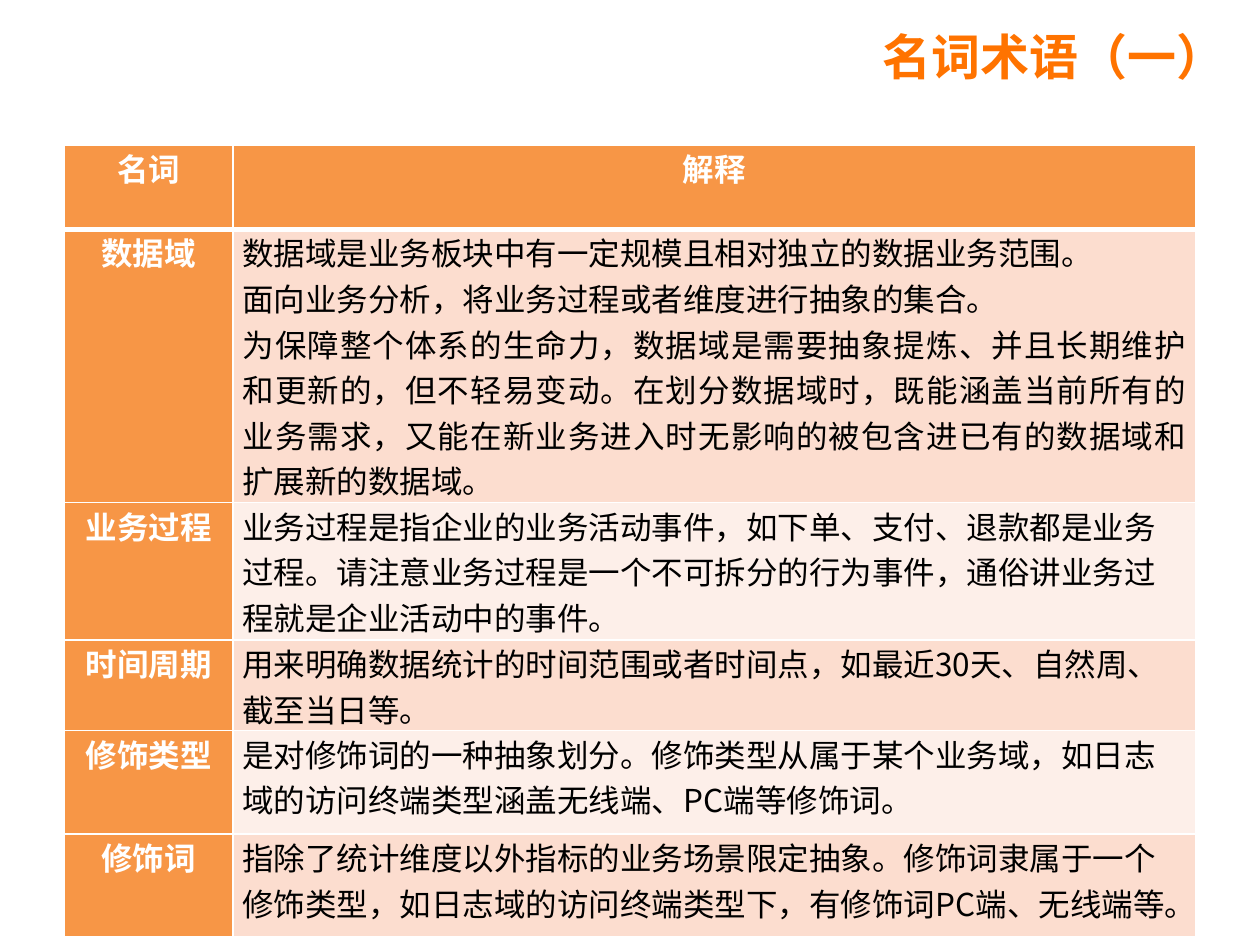
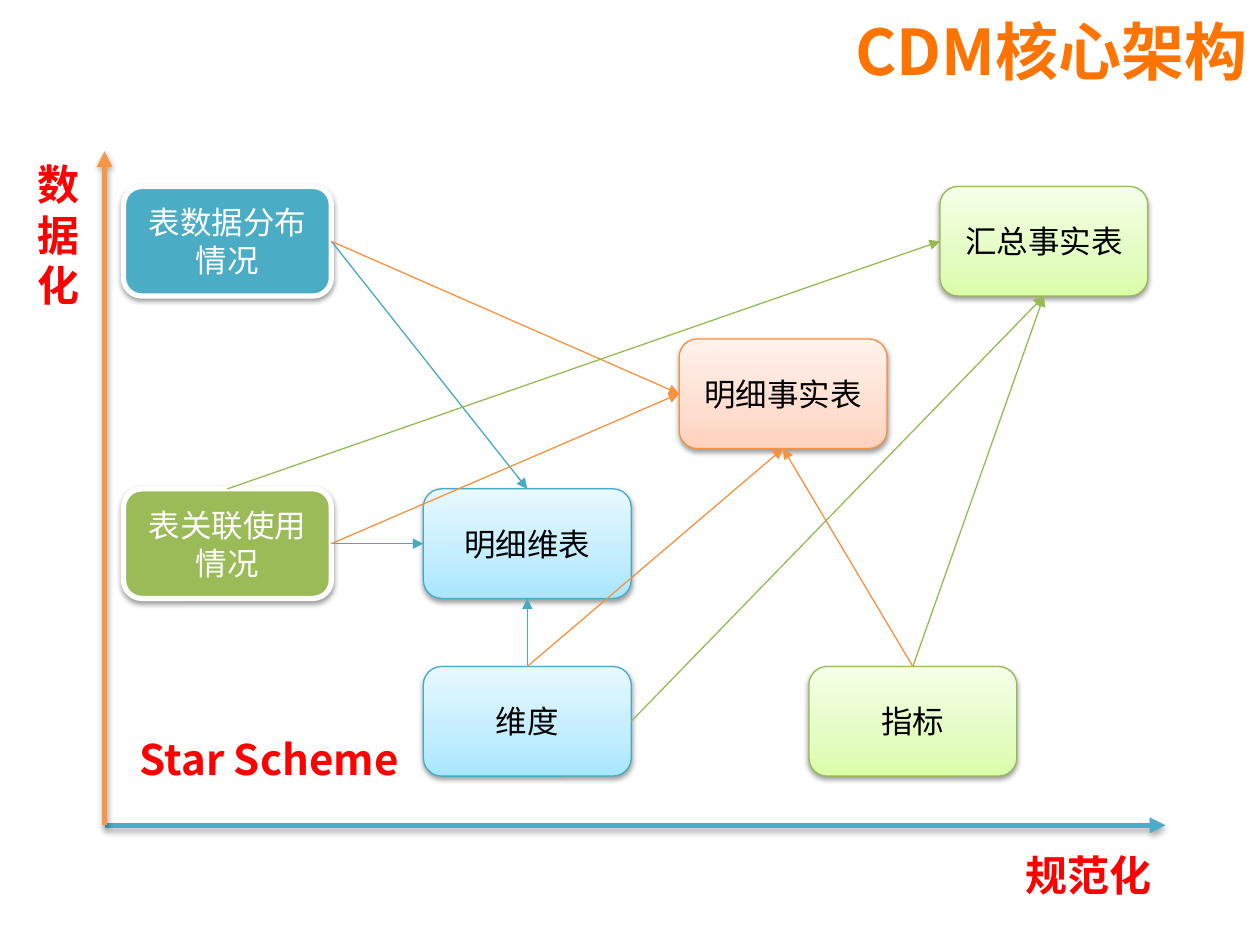
from lxml import etree
from pptx import Presentation
from pptx import util as u
from pptx.dml.color import RGBColor
from pptx.enum import shapes, text
from pptx.oxml import ns
from copy import deepcopy

Inches, Pt = u.Inches, u.Pt
ALIGN = text.PP_ALIGN

# Shared look
FONT = "Noto Sans CJK SC"
TITLE, ORANGE, TEAL, GREEN = "FF7300", "F79646", "4BACC6", "9BBB59"
WHITE, BLACK, RED = "FFFFFF", "000000", "FF0000"
BANDS = ["FCDDCF", "FDEFE9"]
TEAL_LINE, ORANGE_LINE, GREEN_LINE = "46AAC5", "F69240", "98B955"
TINTS = {  # gradient from bottom to top, by outline colour
    TEAL_LINE: ["A7E6FF", "C1EDFF", "E7F8FF"],
    ORANGE_LINE: ["FFD2BD", "FFDED0", "FFF2ED"],
    GREEN_LINE: ["DAFDA7", "E4FCC2", "F5FFE7"],
}
TOP, LEFT, BOTTOM, RIGHT = range(4)
BOX_W, BOX_H = 1.65, 0.87

# Slide 1: term and its explanation, one paragraph per line
TERMS = [
    ("数据域", "数据域是业务板块中有一定规模且相对独立的数据业务范围。\n"
     "面向业务分析，将业务过程或者维度进行抽象的集合。\n"
     "为保障整个体系的生命力，数据域是需要抽象提炼、并且长期维护和更新的，但不轻易变动。"
     "在划分数据域时，既能涵盖当前所有的业务需求，又能在新业务进入时无影响的被包含进"
     "已有的数据域和扩展新的数据域。"),
    ("业务过程", "业务过程是指企业的业务活动事件，如下单、支付、退款都是业务过程。"
     "请注意业务过程是一个不可拆分的行为事件，通俗讲业务过程就是企业活动中的事件。"),
    ("时间周期", "用来明确数据统计的时间范围或者时间点，如最近30天、自然周、截至当日等。"),
    ("修饰类型", "是对修饰词的一种抽象划分。修饰类型从属于某个业务域，"
     "如日志域的访问终端类型涵盖无线端、PC端等修饰词。"),
    ("修饰词", "指除了统计维度以外指标的业务场景限定抽象。修饰词隶属于一个修饰类型，"
     "如日志域的访问终端类型下，有修饰词PC端、无线端等。"),
]
ROW_HEIGHTS = [0.67, 2.17, 1.09, 0.72, 0.82, 0.82]

# Slide 2: name, left, top, fill (None for a tint), outline
BOXES = [
    ("维度", 3.36, 5.29, None, TEAL_LINE),
    ("指标", 6.42, 5.29, None, GREEN_LINE),
    ("表数据分布情况", 0.98, 1.48, TEAL, WHITE),
    ("表关联使用情况", 0.98, 3.88, GREEN, WHITE),
    ("明细维表", 3.36, 3.88, None, TEAL_LINE),
    ("明细事实表", 5.39, 2.69, None, ORANGE_LINE),
    ("汇总事实表", 7.46, 1.48, None, GREEN_LINE),
]
LINKS = [
    ("表数据分布情况", RIGHT, "明细维表", TOP, TEAL_LINE),
    ("表关联使用情况", RIGHT, "明细维表", LEFT, TEAL_LINE),
    ("维度", TOP, "明细维表", BOTTOM, TEAL_LINE),
    ("表数据分布情况", RIGHT, "明细事实表", LEFT, ORANGE_LINE),
    ("表关联使用情况", RIGHT, "明细事实表", LEFT, ORANGE_LINE),
    ("指标", TOP, "明细事实表", BOTTOM, ORANGE_LINE),
    ("指标", TOP, "汇总事实表", BOTTOM, GREEN_LINE),
    ("维度", RIGHT, "汇总事实表", BOTTOM, GREEN_LINE),
    ("维度", TOP, "明细事实表", BOTTOM, ORANGE_LINE),
    ("表关联使用情况", TOP, "汇总事实表", LEFT, GREEN_LINE),
]


def rgb(value):
    return RGBColor.from_string(value)


def child(parent, tag, **attrs):
    return etree.SubElement(parent, ns.qn(tag), attrs)


def write(tf, words, size, color, bold=False, align=None):
    tf.text = words
    for p in tf.paragraphs:
        p.alignment = align
        for r in p.runs:
            r.font.size, r.font.bold, r.font.name = Pt(size), bold, FONT
            r.font.color.rgb = rgb(color)
            child(r._r.get_or_add_rPr(), "a:ea", typeface=FONT)


def add_label(s, words, x, y, w, h, size=24, color=RED, align=ALIGN.LEFT, wrap=False):
    tf = s.shapes.add_textbox(Inches(x), Inches(y), Inches(w), Inches(h)).text_frame
    tf.word_wrap = wrap
    write(tf, words, size, color, True, align)


def add_title(s, words, x, y, size):
    add_label(s, words, x, y, 8.25, 0.63, size, TITLE, ALIGN.RIGHT, True)


def add_shadow(effects, alpha, distance):
    shadow = child(effects, "a:outerShdw", blurRad=str(Pt(3.1)),
                   dist=str(Pt(distance)), dir="5400000", rotWithShape="0")
    child(child(shadow, "a:srgbClr", val=BLACK), "a:alpha", val=str(alpha * 1000))


# Table
def set_borders(cell, top, bottom):
    tc_pr = cell._tc.get_or_add_tcPr()
    widths = {"a:lnL": 1, "a:lnR": 1, "a:lnT": top, "a:lnB": bottom}
    for i, (tag, width) in enumerate(widths.items()):
        ln = child(tc_pr, tag, w=str(Pt(width)))
        child(child(ln, "a:solidFill"), "a:srgbClr", val=WHITE)
        tc_pr.insert(i, ln)


def set_cell(cell, words, fill, row, color=WHITE, bold=True, align=ALIGN.CENTER):
    cell.margin_left = cell.margin_right = Pt(5.4)
    cell.margin_top = cell.margin_bottom = 0
    cell.fill.solid()
    cell.fill.fore_color.rgb = rgb(fill)
    write(cell.text_frame, words, 18, color, bold, align)
    set_borders(cell, 3 if row == 1 else 1, 3 if row == 0 else 1)


def add_terms_table(s):
    table = s.shapes.add_table(len(ROW_HEIGHTS), 2, Inches(0.51), Inches(1.15),
                               Inches(8.98), Inches(sum(ROW_HEIGHTS))).table
    for column, width in zip(table.columns, (1.34, 7.64)):
        column.width = Inches(width)
    for row, height in zip(table.rows, ROW_HEIGHTS):
        row.height = Inches(height)
    set_cell(table.cell(0, 0), "名词", ORANGE, 0)
    set_cell(table.cell(0, 1), "解释", ORANGE, 0)
    for i, (term, meaning) in enumerate(TERMS, 1):
        align = ALIGN.JUSTIFY if "\n" in meaning else ALIGN.LEFT
        set_cell(table.cell(i, 0), term, ORANGE, i)
        set_cell(table.cell(i, 1), meaning, BANDS[(i - 1) % 2], i, BLACK, False, align)


# Diagram
def fill_tint(fill, colors):
    fill.gradient()
    fill.gradient_angle = 90
    first = fill.gradient_stops[0]._gs
    first.addnext(deepcopy(first))
    for stop, color, position in zip(fill.gradient_stops, colors, (0, 0.35, 1)):
        stop.color.rgb = rgb(color)
        stop.position = position


def add_box(s, words, x, y, fill, outline):
    sp = s.shapes.add_shape(shapes.MSO_SHAPE.ROUNDED_RECTANGLE, Inches(x), Inches(y),
                            Inches(BOX_W), Inches(BOX_H))
    if fill:
        sp.fill.solid()
        sp.fill.fore_color.rgb = rgb(fill)
    else:
        fill_tint(sp.fill, TINTS[outline])
    sp.line.color.rgb = rgb(outline)
    sp.line.width = Pt(3 if fill else 0.75)
    sp.shadow.inherit = False
    add_shadow(sp._element.spPr.find(ns.qn("a:effectLst")), 38, 1.6)
    sp.text_frame.vertical_anchor = text.MSO_ANCHOR.MIDDLE
    write(sp.text_frame, words, 18, WHITE if fill else BLACK, False, ALIGN.CENTER)
    return sp


def add_arrow(s, color, width, x1=0, y1=0, x2=0, y2=0):
    line = s.shapes.add_connector(shapes.MSO_CONNECTOR.STRAIGHT, Inches(x1), Inches(y1),
                                  Inches(x2), Inches(y2))
    line.line.color.rgb = rgb(color)
    line.line.width = Pt(width)
    child(line.line._get_or_add_ln(), "a:tailEnd", type="triangle")
    return line, child(line._element.spPr, "a:effectLst")


def add_axis(s, color, x2, y2):
    _, effects = add_arrow(s, color, 3, 0.83, 6.55, x2, y2)
    add_shadow(effects, 35, 1.8)


def add_link(s, start, start_side, end, end_side, color):
    line, _ = add_arrow(s, color, 0.75)
    line.begin_connect(start, start_side)
    line.end_connect(end, end_side)


def build_terms(s):
    add_title(s, "名词术语（一）", 1.57, 0.16, 28)
    add_terms_table(s)


def build_architecture(s):
    add_title(s, "CDM核心架构", 1.75, 0.05, 36)
    boxes = {box[0]: add_box(s, *box) for box in BOXES}
    add_axis(s, TEAL, 9.25, 6.55)
    add_axis(s, ORANGE, 0.83, 1.2)
    for start, start_side, end, end_side, color in LINKS:
        add_link(s, boxes[start], start_side, boxes[end], end_side, color)
    add_label(s, "数据化", 0.2, 1.21, 0.43, 1.31, wrap=True)
    add_label(s, "规范化", 8.04, 6.69, 1.22, 0.5)
    add_label(s, "Star Scheme", 1.01, 5.77, 2.29, 0.5)


def main():
    prs = Presentation()
    prs.slide_width, prs.slide_height = Inches(10), Inches(7.5)
    for build in (build_terms, build_architecture):
        build(prs.slides.add_slide(prs.slide_layouts[6]))
    prs.save("out.pptx")


if __name__ == "__main__":
    main()
